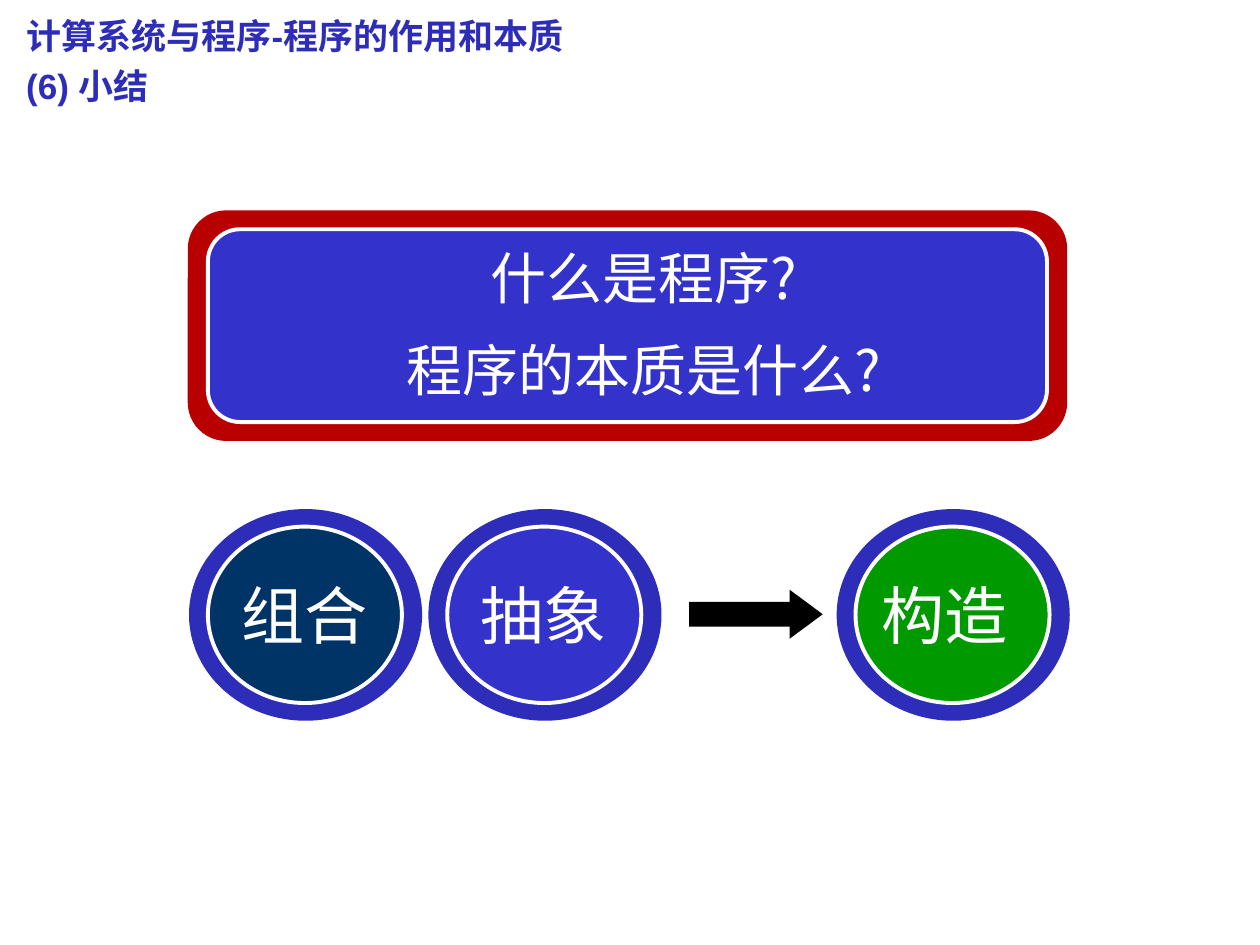
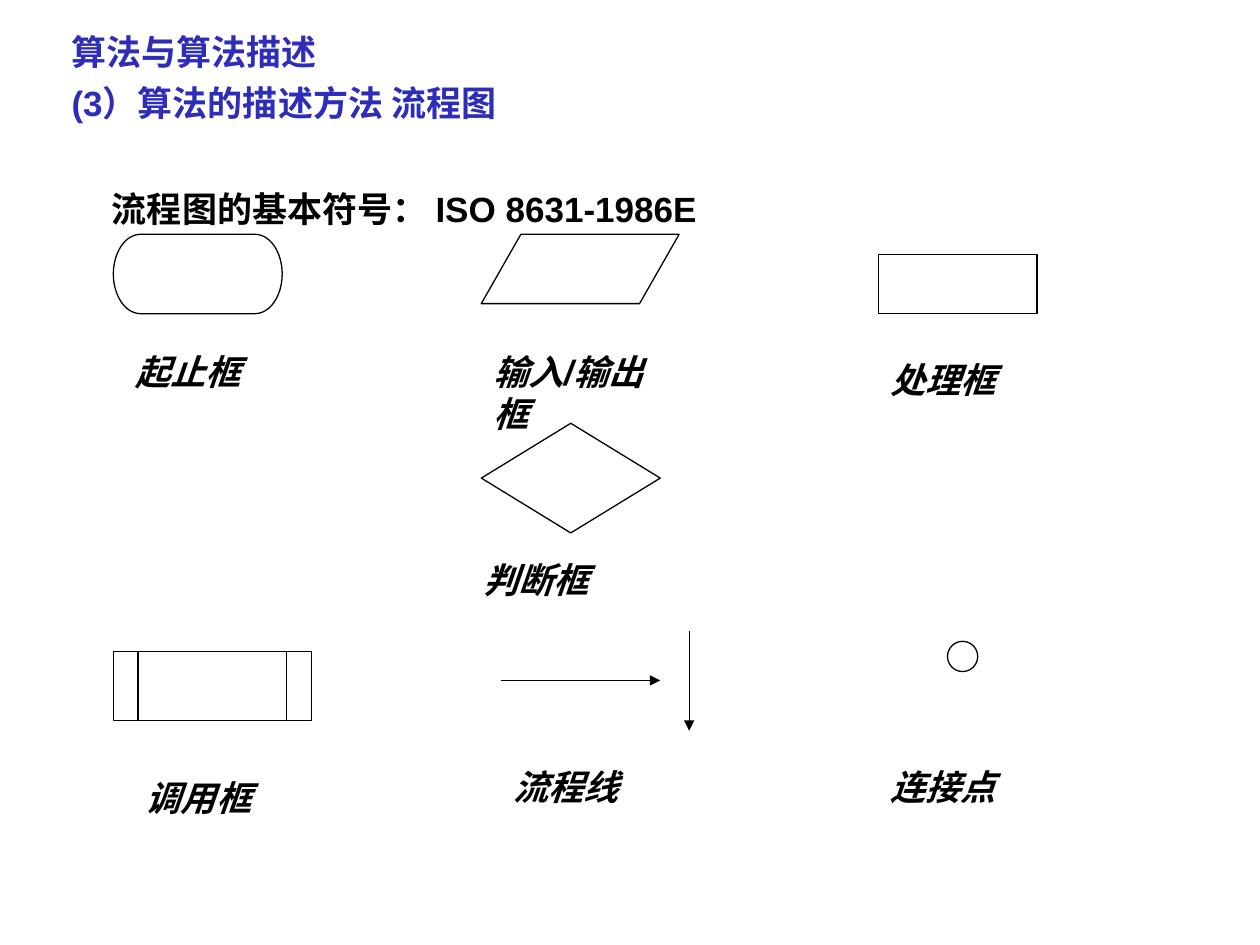
from lxml import etree
from pptx import Presentation
from pptx.dml.color import RGBColor
from pptx.enum.shapes import MSO_CONNECTOR, MSO_SHAPE
from pptx.enum.text import MSO_ANCHOR, MSO_AUTO_SIZE, PP_ALIGN
from pptx.oxml.ns import qn
from pptx.util import Inches, Pt

ELLIPSE, DONUT = MSO_SHAPE.OVAL, MSO_SHAPE.DONUT
ROUND, ARROW = MSO_SHAPE.ROUNDED_RECTANGLE, MSO_SHAPE.RIGHT_ARROW
TERMINATOR = MSO_SHAPE.FLOWCHART_TERMINATOR
IN_OUT = MSO_SHAPE.FLOWCHART_DATA
PROCESS = MSO_SHAPE.FLOWCHART_PROCESS
DECISION = MSO_SHAPE.FLOWCHART_DECISION
CALL = MSO_SHAPE.FLOWCHART_PREDEFINED_PROCESS
JOINT = MSO_SHAPE.FLOWCHART_CONNECTOR
STRAIGHT = MSO_CONNECTOR.STRAIGHT
CENTER, LEFT = PP_ALIGN.CENTER, PP_ALIGN.LEFT
TOP, GROW = MSO_ANCHOR.TOP, MSO_AUTO_SIZE.SHAPE_TO_FIT_TEXT

# Content: summary slide
SUMMARY_TITLE = ["计算系统与程序-程序的作用和本质", "(6) 小结"]
QUESTIONS = ["什么是程序?", "程序的本质是什么?"]
IDEAS = [("组合", 1.5, "navy"), ("抽象", 3.4, "blue"), ("构造 ", 6.64, "green")]

# Content: flowchart slide
FLOW_TITLE = ["算法与算法描述", "(3）算法的描述方法 流程图"]
FLOW_HEADING = "流程图的基本符号： ISO 8631-1986E"
SYMBOLS = [  # preset, (left, top, width, height)
    (TERMINATOR, (0.9, 1.86, 1.34, 0.63)),
    (IN_OUT, (3.82, 1.86, 1.57, 0.55)),
    (PROCESS, (6.97, 2.02, 1.26, 0.47)),
    (DECISION, (3.82, 3.36, 1.42, 0.87)),
    (CALL, (0.9, 5.17, 1.57, 0.55)),
    (JOINT, (7.52, 5.09, 0.24, 0.24)),
]
FLOW_LINES = [(3.98, 5.4, 5.24, 5.4), (5.47, 5.01, 5.47, 5.8)]
LABELS = [  # text, left, top, width
    ("起止框", 0.98, 2.73, 1.42),
    ("输入/输出框", 3.82, 2.73, 1.57),
    ("处理框", 6.97, 2.8, 1.42),
    ("判断框", 3.74, 4.38, 1.42),
    ("调用框", 1.06, 6.11, 1.42),
    ("流程线", 3.98, 6.03, 1.42),
    ("连接点", 6.97, 6.03, 1.42),
]

THEME = {
    "colors": {"title": "2D2DB9", "blue": "3333CC", "navy": "003366",
               "green": "009900", "red": "B90000", "white": "FFFFFF",
               "black": "000000"},
    "latin": "Arial",
    "cjk": "Noto Sans CJK SC",
    "styles": {
        "title": {"size": 20, "bold": True, "color": "title", "spacing": 1.2},
        "heading": {"size": 20, "bold": True, "color": "black"},
        "label": {"size": 20, "bold": True, "italic": True, "color": "black"},
        "question": {"size": 32, "color": "white", "font": "cjk",
                     "align": CENTER, "gap": 14},
        "idea": {"size": 36, "color": "white", "font": "cjk", "align": CENTER},
    },
}


def rgb(name):
    return RGBColor.from_string(THEME["colors"][name])


def inches(*values):
    return [Inches(v) for v in values]


def add_shape(s, preset, box, fill=None, line=None, width=0.75, adj=()):
    sp = s.shapes.add_shape(preset, *inches(*box))
    sp.shadow.inherit = False
    for part, color in ((sp.fill, fill), (sp.line.fill, line)):
        if color:
            part.solid()
            part.fore_color.rgb = rgb(color)
        else:
            part.background()
    if line:
        sp.line.width = Pt(width)
    for i, value in enumerate(adj):
        sp.adjustments[i] = value
    return sp


def write(sp, lines, style, wrap=True):
    fmt = THEME["styles"][style]
    tf = sp.text_frame
    for name, value in {"word_wrap": wrap, "auto_size": GROW,
                        "vertical_anchor": TOP}.items():
        setattr(tf, name, value)
    for i, text in enumerate(lines):
        p = tf.add_paragraph() if i else tf.paragraphs[0]
        p.alignment = fmt.get("align", LEFT)
        p.line_spacing = fmt.get("spacing")
        if i and "gap" in fmt:
            p.space_before = Pt(fmt["gap"])
        r = p.add_run()
        r.text = text
        for name, value in {"name": THEME[fmt.get("font", "latin")],
                            "size": Pt(fmt["size"]),
                            "bold": fmt.get("bold", False),
                            "italic": fmt.get("italic", False)}.items():
            setattr(r.font, name, value)
        r.font.color.rgb = rgb(fmt["color"])
        ea = etree.Element(qn("a:ea"), typeface=THEME["cjk"])
        r.font._element.find(qn("a:latin")).addnext(ea)


def add_text(s, lines, box, style, wrap=True):
    write(s.shapes.add_textbox(*inches(*box)), lines, style, wrap)


def add_arrow(s, ends):
    line = s.shapes.add_connector(STRAIGHT, *inches(*ends))
    line.line.color.rgb = rgb("black")
    line.line.width = Pt(0.75)
    etree.SubElement(line.line._get_or_add_ln(), qn("a:tailEnd"), type="triangle")
    etree.SubElement(line._element.spPr, qn("a:effectLst"))


def add_idea(s, text, x, fill, y=4.04):
    add_shape(s, DONUT, (x, y, 1.85, 1.68), "title", adj=[0.09])
    add_shape(s, ELLIPSE, (x + 0.15, y + 0.14, 1.54, 1.4), fill, "white", 2.25)
    add_text(s, [text], (x + 0.15, y + 0.49, 1.53, 0.7), "idea")


def summary_slide(s):
    for idea in IDEAS:
        add_idea(s, *idea)
    add_shape(s, ARROW, (5.47, 4.68, 1.06, 0.39), "black", adj=[0.5, 0.675])
    # Question panel
    add_shape(s, ROUND, (1.49, 1.67, 6.98, 1.83), "red")
    add_shape(s, ROUND, (1.65, 1.82, 6.66, 1.53), "blue", "white", 2.25)
    write(add_shape(s, ROUND, (2.27, 1.81, 5.68, 1.51)), QUESTIONS, "question")
    add_text(s, SUMMARY_TITLE, (0.11, 0, 4.6, 0.9), "title", wrap=False)


def flowchart_slide(s):
    add_text(s, FLOW_TITLE, (0.47, 0.13, 3.7, 0.9), "title", wrap=False)
    add_text(s, [FLOW_HEADING], (0.79, 1.44, 7.19, 0.44), "heading")
    for preset, box in SYMBOLS:
        add_shape(s, preset, box, line="black")
    for ends in FLOW_LINES:
        add_arrow(s, ends)
    for text, x, y, w in LABELS:
        add_text(s, [text], (x, y, w, 0.44), "label")


def main():
    prs = Presentation()
    prs.slide_width, prs.slide_height = inches(10, 7.5)
    for build in (summary_slide, flowchart_slide):
        build(prs.slides.add_slide(prs.slide_layouts[6]))
    prs.save("out.pptx")


if __name__ == "__main__":
    main()
